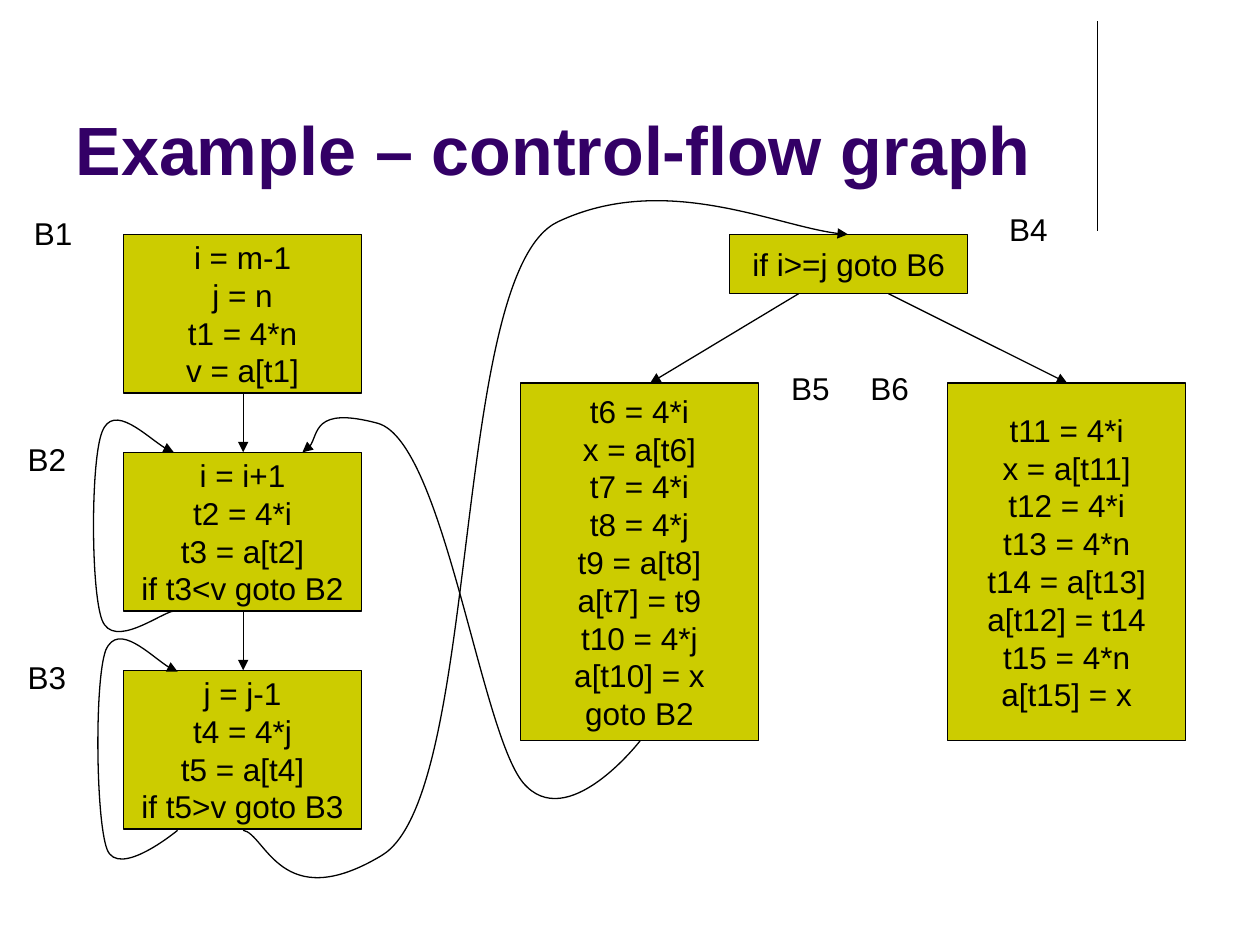
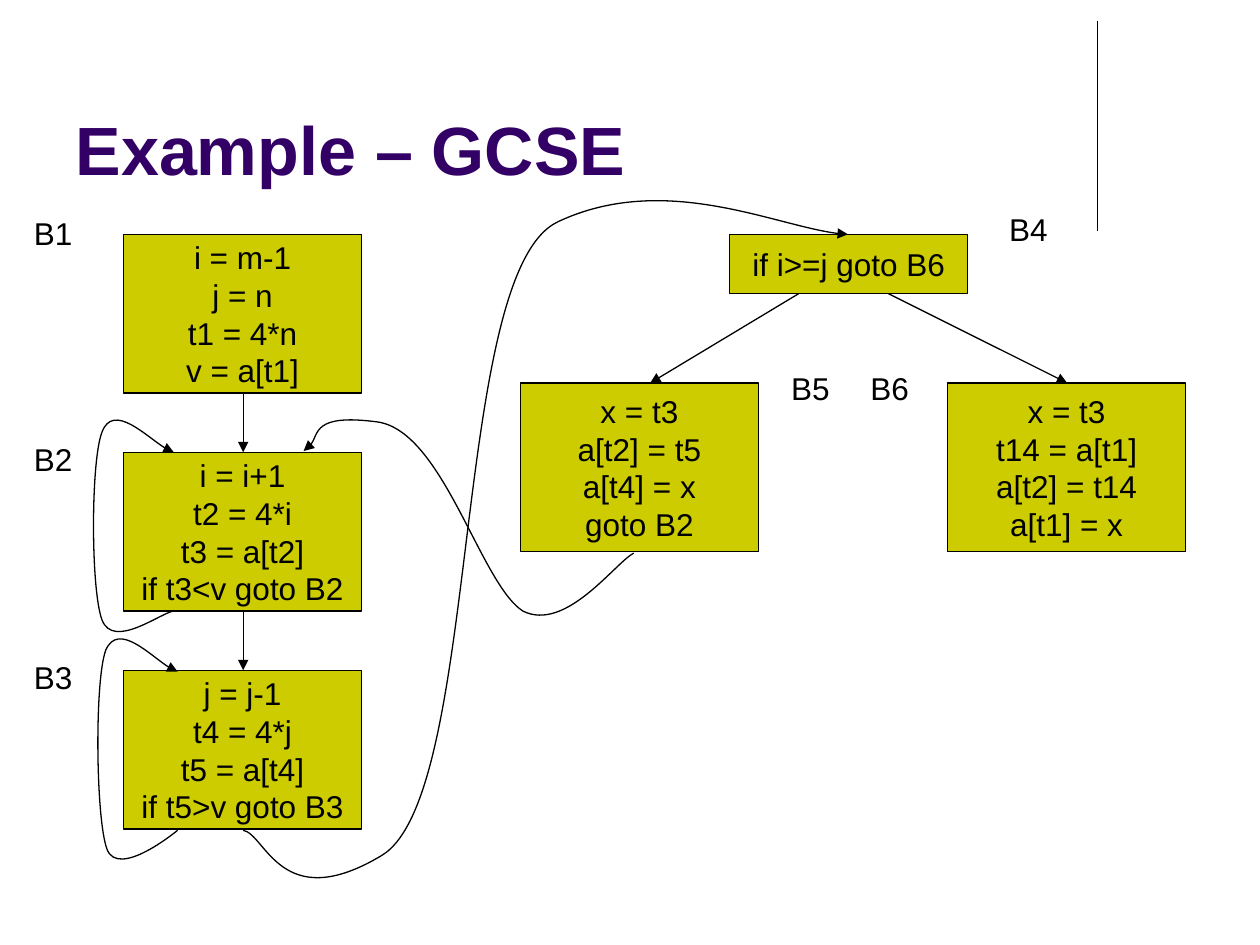
from lxml import etree
from pptx import Presentation
from pptx.dml.color import RGBColor
from pptx.enum.shapes import MSO_CONNECTOR as Link, MSO_SHAPE as Kind
from pptx.enum.text import MSO_ANCHOR as Anchor, MSO_AUTO_SIZE as Fit, PP_ALIGN as Align
from pptx.oxml.ns import qn
from pptx.util import Inches, Pt

BLACK, PURPLE, OLIVE = "000000", "330066", "CCCC00"
FONT = "Arial"
WIDE = 1.89
rgb = RGBColor.from_string


def outline(shape, arrow=False):
    """Give a thin black line without shadow, with an arrowhead at its end if asked."""
    shape.line.color.rgb = rgb(BLACK)
    shape.line.width = Pt(0.75)
    ln = shape.element.find(".//" + qn("a:ln"))
    if arrow:
        etree.SubElement(ln, qn("a:tailEnd"), type="triangle")
    etree.SubElement(ln.getparent(), qn("a:effectLst"))


def write(frame, text, size, color, align, bold=False):
    frame.text = text
    for para in frame.paragraphs:
        para.alignment = align
        for run in para.runs:
            font = run.font
            font.name, font.size, font.bold = FONT, Pt(size), bold
            font.color.rgb = rgb(color)


# Blocks: left, top, height, code
blocks = [
    (0.98, 1.86, 1.26, "i = m-1\nj = n\nt1 = 4*n\nv = a[t1]"),
    (0.98, 3.59, 1.26, "i = i+1\nt2 = 4*i\nt3 = a[t2]\nif t3<v goto B2"),
    (0.98, 5.32, 1.26, "j = j-1\nt4 = 4*j\nt5 = a[t4]\nif t5>v goto B3"),
    (5.79, 1.86, 0.47, "if i>=j goto B6"),
]

# Straight arrows: from x, y to x, y
arrows = [
    (6.34, 2.33, 5.16, 3.04),
    (7.05, 2.33, 8.47, 3.04),
    (1.93, 3.12, 1.93, 3.59),
    (1.93, 4.85, 1.93, 5.32),
]

# Curved arrows: a start, then three control points for each bend
curves = [
    [(1.93, 6.59), (2.11, 6.62), (2.23, 7.27), (3.03, 6.79), (3.83, 6.31),
     (3.57, 2.16), (4.43, 1.76), (5.28, 1.36), (6.25, 1.84), (6.73, 1.86)],
    [(1.38, 4.85), (1.28, 4.86), (0.9, 5.16), (0.81, 4.92), (0.72, 4.68),
     (0.72, 3.66), (0.81, 3.43), (0.9, 3.19), (1.26, 3.56), (1.38, 3.59)],
    [(1.41, 6.59), (1.41, 6.59), (0.94, 6.98), (0.85, 6.74), (0.76, 6.5),
     (0.75, 5.4), (0.84, 5.16), (0.94, 4.93), (1.29, 5.3), (1.41, 5.33)],
]

labels = [("B1", 0.17, 1.65), ("B4", 7.91, 1.62), ("B5", 6.18, 2.88), ("B6", 6.81, 2.88)]

# Each page: title, height and code of B5 and B6, left of B2 and B3, curve from B5 to B2
pages = [
    ("Example – control-flow graph", 2.84,
     "t6 = 4*i\nx = a[t6]\nt7 = 4*i\nt8 = 4*j\nt9 = a[t8]\na[t7] = t9\n"
     "t10 = 4*j\na[t10] = x\ngoto B2",
     "t11 = 4*i\nx = a[t11]\nt12 = 4*i\nt13 = 4*n\nt14 = a[t13]\na[t12] = t14\n"
     "t15 = 4*n\na[t15] = x",
     0.12,
     [(5.08, 5.88), (5.08, 5.88), (4.5, 6.63), (4.15, 6.21), (3.81, 5.79),
      (3.52, 3.51), (3, 3.36), (2.48, 3.22), (2.53, 3.55), (2.4, 3.59)]),
    ("Example – GCSE", 1.34,
     "x = t3\na[t2] = t5\na[t4] = x\ngoto B2",
     "x = t3\nt14 = a[t1]\na[t2] = t14\na[t1] = x",
     0.17,
     [(5.03, 4.39), (4.88, 4.47), (4.49, 5.02), (4.15, 4.85), (3.81, 4.63),
      (3.52, 3.43), (3, 3.35), (2.48, 3.28), (2.53, 3.53), (2.41, 3.58)]),
]

deck = Presentation()
deck.slide_width, deck.slide_height = Inches(10), Inches(7.5)

for name, tall, left_code, right_code, edge, back in pages:
    slide = deck.slides.add_slide(deck.slide_layouts[5])
    shapes = slide.shapes

    rule = shapes.add_connector(
        Link.STRAIGHT, Inches(8.71), Inches(0.17), Inches(8.71), Inches(1.83))
    outline(rule)

    title = shapes.title
    title.left, title.top = Inches(0.5), Inches(0.13)
    title.width, title.height = Inches(8.25), Inches(1.42)
    frame = title.text_frame
    write(frame, name, 39, PURPLE, Align.LEFT, bold=True)
    frame.auto_size = Fit.NONE
    frame.vertical_anchor = Anchor.BOTTOM

    ends = [(4.13, 3.04, tall, left_code), (7.52, 3.04, tall, right_code)]
    for x, y, high, code in blocks + ends:
        box = shapes.add_shape(
            Kind.RECTANGLE, Inches(x), Inches(y), Inches(WIDE), Inches(high))
        box.fill.solid()
        box.fill.fore_color.rgb = rgb(OLIVE)
        outline(box)
        frame = box.text_frame
        frame.word_wrap = False
        frame.vertical_anchor = Anchor.MIDDLE
        write(frame, code, 18, BLACK, Align.CENTER)

    for ends in arrows:
        outline(shapes.add_connector(Link.STRAIGHT, *map(Inches, ends)), arrow=True)

    for points in curves + [back]:
        spots = [(Inches(x), Inches(y)) for x, y in points]
        pen = shapes.build_freeform(*spots[0])
        pen.add_line_segments(spots[1:], close=False)
        curve = pen.convert_to_shape()
        curve.fill.background()
        outline(curve, arrow=True)
        # Turn every three straight segments into one Bézier bend
        track = curve.element.find(".//" + qn("a:path"))
        lines = track.findall(qn("a:lnTo"))
        for i in range(0, len(lines), 3):
            bend = etree.SubElement(track, qn("a:cubicBezTo"))
            for line in lines[i:i + 3]:
                bend.append(line[0])
                track.remove(line)

    for tag, x, y in labels + [("B2", edge, 3.44), ("B3", edge, 5.17)]:
        note = shapes.add_textbox(Inches(x), Inches(y), Inches(0.51), Inches(0.4))
        frame = note.text_frame
        frame.word_wrap = False
        frame.auto_size = Fit.SHAPE_TO_FIT_TEXT
        write(frame, tag, 18, BLACK, Align.LEFT)

deck.save("out.pptx")
